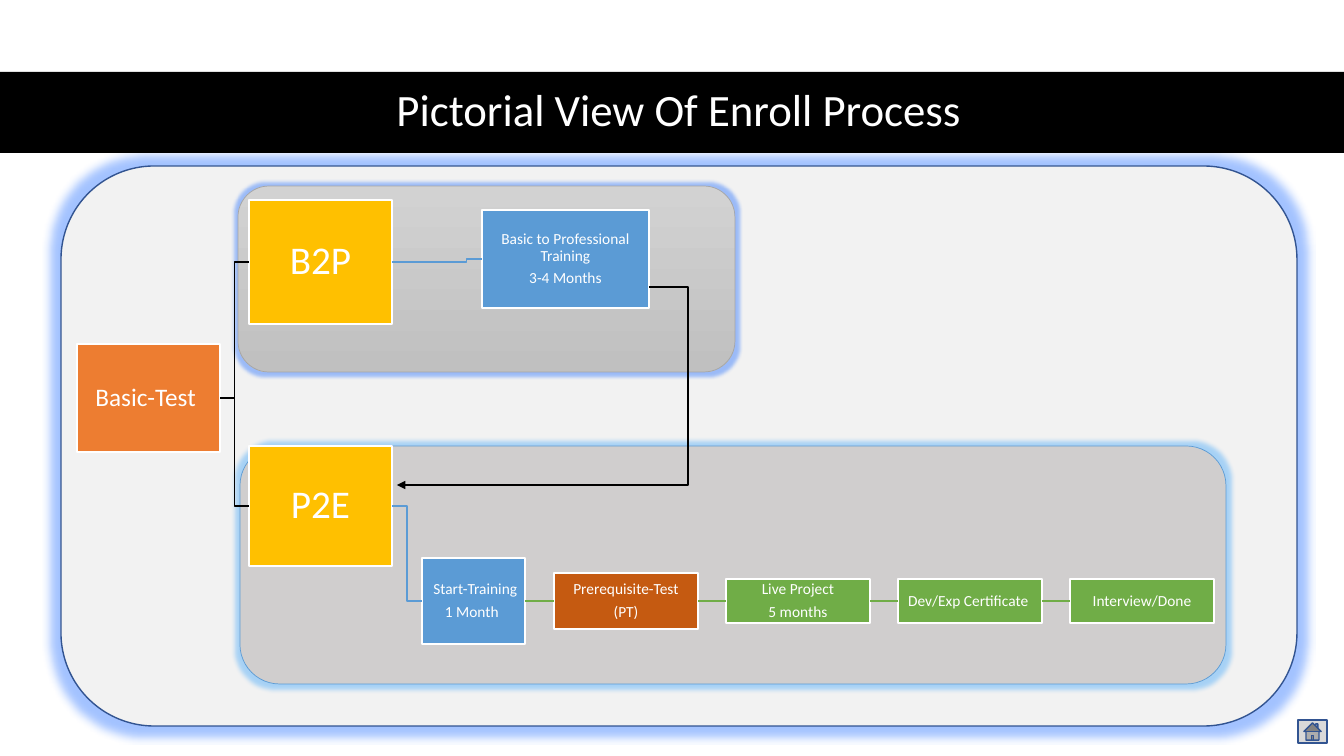
from dataclasses import dataclass

from lxml.etree import SubElement
from pptx import Presentation
from pptx.dml.color import RGBColor
from pptx.enum.shapes import MSO_CONNECTOR as Connector, MSO_SHAPE as Preset
from pptx.enum.text import MSO_ANCHOR, PP_ALIGN
from pptx.oxml.ns import qn
from pptx.util import Emu, Pt

PX = 914400 / 100.8
FONT = "Calibri"
COLORS = {
    "white": "FFFFFF", "black": "000000", "frame": "F2F2F2", "navy": "325491",
    "panel": "D0CECE", "blue": "5B9BD5", "gray": "A5A5A5", "orange": "ED7D31",
    "gold": "FFC000", "rust": "C55A11", "green": "70AD47", "button": "D9D9D9",
    "light": "D2D2D2", "dark": "C0C0C0", "blue_glow": "1968FF", "sky_glow": "35A1FB",
}


@dataclass
class Panel:
    preset: Preset
    box: tuple[int, int, int, int]
    fill: str
    line: str | None = None
    width: float = 1
    glow: str | None = None
    radius: int = 0


@dataclass
class Step:
    name: str
    box: tuple[int, int, int, int]
    fill: str
    lines: list[str]
    size: int = 11


@dataclass
class Link:
    start: str
    end: str
    color: str
    bend: float | None = None


def px(value: int) -> Emu:
    return Emu(round(value * PX))


def rgb(name: str) -> RGBColor:
    return RGBColor.from_string(COLORS[name])


def add_panel(slide, panel: Panel):
    shape = slide.shapes.add_shape(panel.preset, *map(px, panel.box))
    shape.shadow.inherit = False
    shape.fill.solid()
    shape.fill.fore_color.rgb = rgb(panel.fill)
    if panel.line:
        shape.line.color.rgb = rgb(panel.line)
        shape.line.width = Pt(panel.width)
    else:
        shape.line.fill.background()
    if panel.glow:
        effects = shape._element.spPr.find(qn("a:effectLst"))
        glow = SubElement(effects, qn("a:glow"), rad=str(px(panel.radius)))
        color = SubElement(glow, qn("a:srgbClr"), val=COLORS[panel.glow])
        SubElement(color, qn("a:alpha"), val="40000")
    return shape


def write(shape, lines: list[str], size: int) -> None:
    frame = shape.text_frame
    frame.word_wrap = True
    frame.vertical_anchor = MSO_ANCHOR.MIDDLE
    frame.margin_left = frame.margin_right = px(1)
    frame.margin_top = frame.margin_bottom = px(1)
    frame.text = "\n".join(lines)
    for index, paragraph in enumerate(frame.paragraphs):
        paragraph.alignment = PP_ALIGN.CENTER
        paragraph.line_spacing = 0.9
        paragraph.space_before = Pt(4 if index else 0)
        font = paragraph.runs[0].font
        font.name, font.size, font.color.rgb = FONT, Pt(size), rgb("white")


def add_line(slide, kind: Connector, start: tuple[int, int], end: tuple[int, int],
             color: str, width: float = 1, bend: float | None = None):
    line = slide.shapes.add_connector(kind, *map(px, start + end))
    line.line.color.rgb = rgb(color)
    line.line.width = Pt(width)
    properties = line._element.spPr
    SubElement(properties, qn("a:effectLst"))
    if bend is not None:
        guides = properties.find(qn("a:prstGeom")).get_or_add_avLst()
        SubElement(guides, qn("a:gd"), name="adj1", fmla=f"val {round(bend * 100000)}")
    return line


def add_link(slide, link: Link, steps: dict[str, Step], shapes: dict) -> None:
    left, top, width, height = steps[link.start].box
    end_left, end_top, _, end_height = steps[link.end].box
    kind = Connector.STRAIGHT if link.bend is None else Connector.ELBOW
    line = add_line(slide, kind, (left + width, top + height // 2),
                    (end_left, end_top + end_height // 2), link.color, bend=link.bend)
    if kind == Connector.STRAIGHT:
        line.begin_connect(shapes[link.start], 3)
        line.end_connect(shapes[link.end], 1)


ROUTE_LEFT, ROUTE_PITCH, ROUTE_MIDDLE = 554, 172, 601


def route_box(column: int, height: int) -> tuple[int, int, int, int]:
    return ROUTE_LEFT + column * ROUTE_PITCH, ROUTE_MIDDLE - height // 2, 144, height


PANELS = [
    Panel(Preset.FLOWCHART_ALTERNATE_PROCESS, (61, 166, 1236, 560), "frame", "navy",
          glow="blue_glow", radius=18),
    Panel(Preset.ROUNDED_RECTANGLE, (240, 446, 986, 238), "panel", "blue", 0.5,
          "sky_glow", 9),
    Panel(Preset.ROUNDED_RECTANGLE, (238, 186, 497, 186), "light", "gray", 0.5,
          "blue_glow", 7),
    Panel(Preset.RECTANGLE, (0, 72, 1344, 81), "black"),
]
STEPS = [
    Step("test", (77, 344, 143, 108), "orange", ["Basic-Test "], 18),
    Step("b2p", (249, 200, 143, 124), "gold", ["B2P"], 28),
    Step("training", (482, 210, 167, 98), "blue",
         ["Basic to Professional Training", "3-4 Months"]),
    Step("p2e", (249, 446, 143, 120), "gold", ["P2E"], 28),
    Step("start", (422, ROUTE_MIDDLE - 43, 103, 86), "blue",
         [" Start-Training", "1 Month "]),
    Step("prerequisite", route_box(0, 56), "rust", ["Prerequisite-Test", "(PT)"]),
    Step("project", route_box(1, 44), "green", [" Live Project ", "5 months"]),
    Step("certificate", route_box(2, 44), "green", ["Dev/Exp Certificate "]),
    Step("interview", route_box(3, 44), "green", ["Interview/Done"]),
]
ROUTE = [step.name for step in STEPS[4:]]
LINKS = [
    Link("test", "b2p", "black", 0.5),
    Link("test", "p2e", "black", 0.5),
    Link("b2p", "training", "blue", 0.83),
    Link("p2e", "start", "blue", 0.5),
    *(Link(start, end, "green") for start, end in zip(ROUTE, ROUTE[1:])),
]


def main() -> None:
    presentation = Presentation()
    presentation.slide_width, presentation.slide_height = px(1344), px(756)
    slide = presentation.slides.add_slide(presentation.slide_layouts[6])

    # Background panels and title bar
    panels = [add_panel(slide, panel) for panel in PANELS]
    gradient = panels[2].fill
    gradient.gradient()
    gradient.gradient_angle = 270
    for stop, color in zip(gradient.gradient_stops, ("light", "dark")):
        stop.color.rgb = rgb(color)
    title = slide.shapes.add_textbox(*map(px, (61, 71, 1236, 81)))
    write(title, ["Pictorial View Of Enroll Process"], 32)

    # Process steps and their links
    shapes = {}
    for step in STEPS:
        shapes[step.name] = add_panel(
            slide, Panel(Preset.RECTANGLE, step.box, step.fill, "white"))
        write(shapes[step.name], step.lines, step.size)
    steps = {step.name: step for step in STEPS}
    for link in LINKS:
        add_link(slide, link, steps, shapes)

    # Return arrow from training to P2E
    arrow = add_line(slide, Connector.ELBOW, (649, 287), (397, 485), "black", 1.5, -0.155)
    SubElement(arrow.line._get_or_add_ln(), qn("a:tailEnd"), type="triangle")

    # Home button
    add_panel(slide, Panel(Preset.ACTION_BUTTON_HOME, (1298, 720, 29, 23), "button", "navy"))
    presentation.save("out.pptx")


if __name__ == "__main__":
    main()
